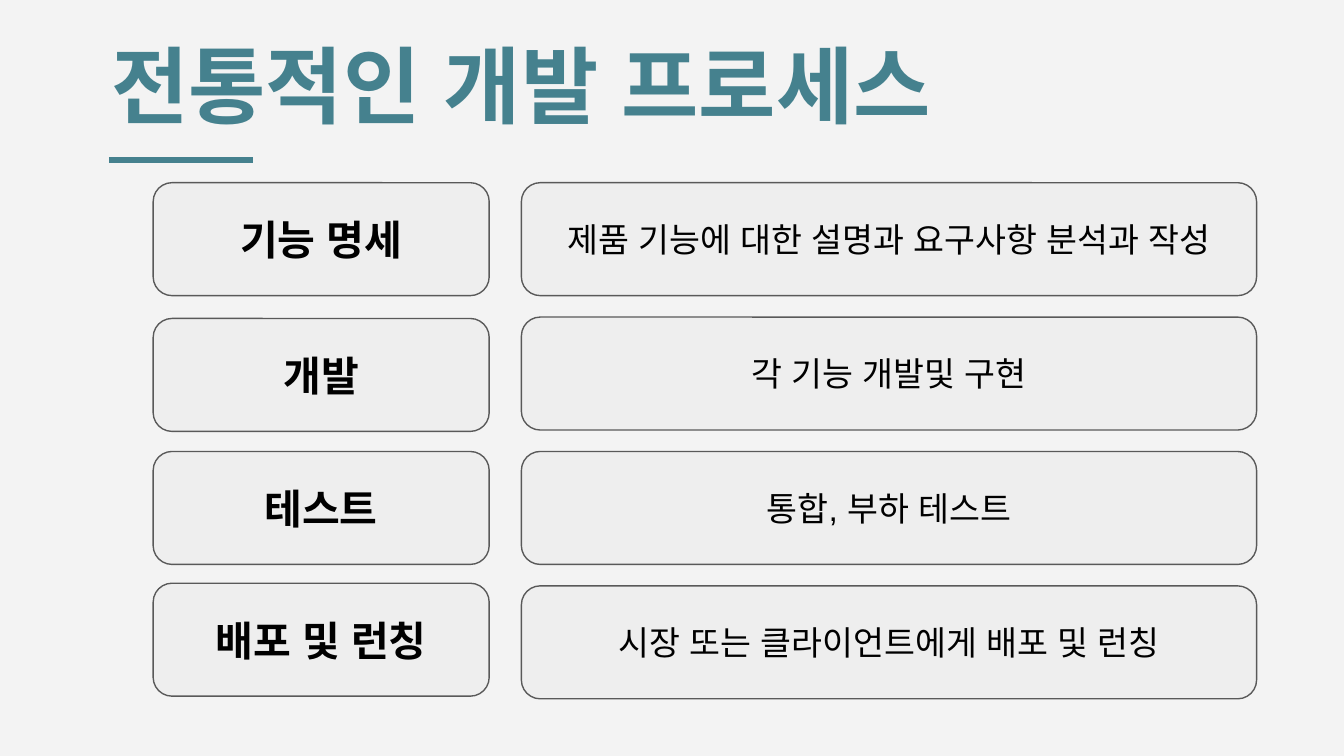
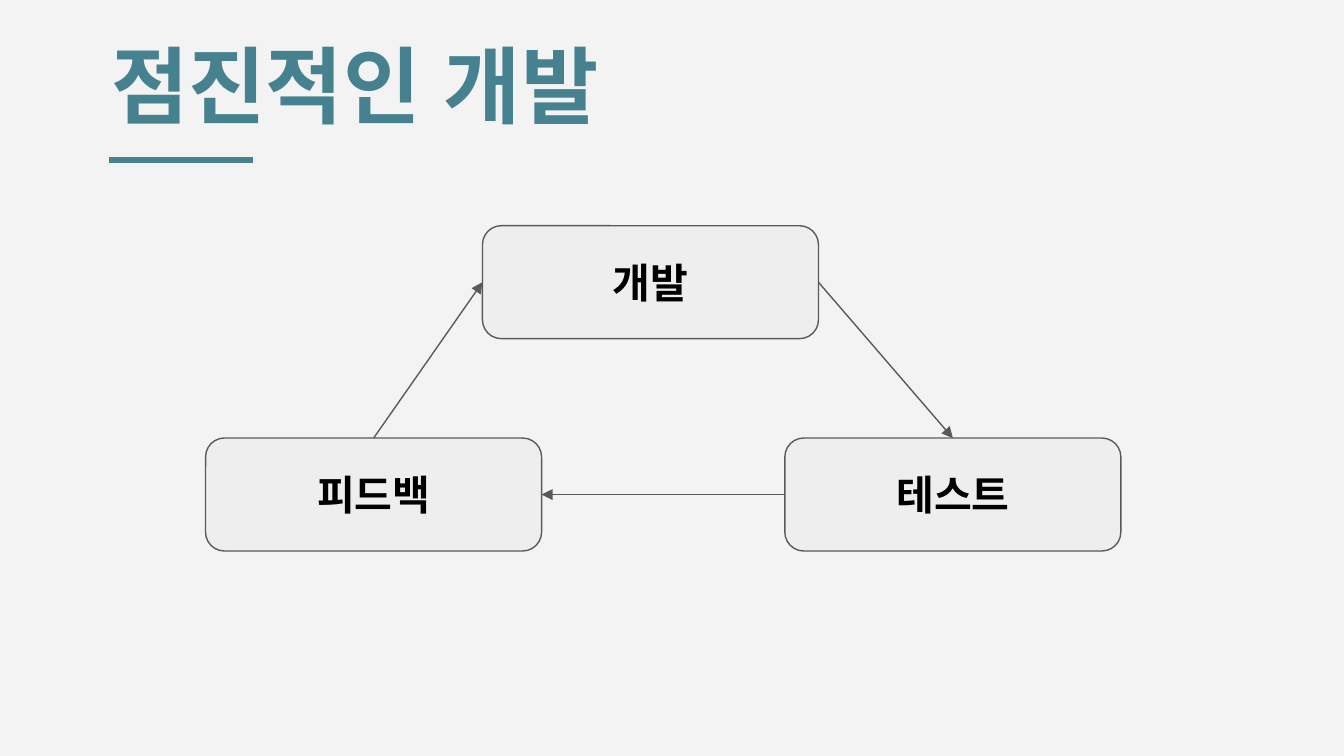
import pptx
import pptx.dml.color
import pptx.enum.shapes
import pptx.enum.text
import pptx.oxml.ns
import pptx.util
from lxml import etree

Inches = pptx.util.Inches
Pt = pptx.util.Pt
RGBColor = pptx.dml.color.RGBColor
Align = pptx.enum.text.PP_ALIGN
Anchor = pptx.enum.text.MSO_ANCHOR
qn = pptx.oxml.ns.qn

TEAL = RGBColor(0x45, 0x81, 0x8E)
PAPER = RGBColor(0xF3, 0xF3, 0xF3)
BOX_FILL = RGBColor(0xEE, 0xEE, 0xEE)
OUTLINE = RGBColor(0x59, 0x59, 0x59)
BLACK = RGBColor(0, 0, 0)

EAST_ASIAN_FONT = "Arial"
TITLE_FONT = {"name": "Noto Sans CJK KR", "size": Pt(45), "bold": True}
LABEL_FONT = {"name": "Arial", "size": Pt(22), "bold": True}
DETAIL_FONT = {"name": "Arial", "size": Pt(18), "bold": False}

PROCESS_TITLE = "전통적인 개발 프로세스"
# Label, top of the label box, detail
PROCESS_STEPS = [
    ("기능 명세", 1.36, "제품 기능에 대한 설명과 요구사항 분석과 작성"),
    ("개발", 2.37, "각 기능 개발및 구현"),
    ("테스트", 3.36, "통합, 부하 테스트"),
    ("배포 및 런칭", 4.34, "시장 또는 클라이언트에게 배포 및 런칭"),
]
CYCLE_TITLE = "점진적인 개발"
CYCLE_STAGES = {"개발": (3.59, 1.68), "테스트": (5.84, 3.26), "피드백": (1.53, 3.26)}
# Connection sites of a rounded rectangle
TOP, LEFT, RIGHT = 0, 1, 3
CYCLE_ARROWS = [
    ("개발", RIGHT, "테스트", TOP),
    ("테스트", LEFT, "피드백", RIGHT),
    ("피드백", TOP, "개발", LEFT),
]

BOX_HEIGHT = 0.84
LABEL_LEFT, LABEL_WIDTH = 1.14, 2.5
DETAIL_LEFT, DETAIL_WIDTH = 3.88, 5.47
FIRST_DETAIL, DETAIL_PITCH = 1.36, 1


def write(shape, text, font, color, align, anchor):
    frame = shape.text_frame
    frame.word_wrap = True
    frame.vertical_anchor = anchor
    for side in ("left", "top", "right", "bottom"):
        setattr(frame, f"margin_{side}", Inches(0.1))
    para = frame.paragraphs[0]
    para.alignment = align
    span = para.add_run()
    span.text = text
    for name, value in font.items():
        setattr(span.font, name, value)
    span.font.color.rgb = color
    east_asian = etree.SubElement(span.font._element, qn("a:ea"))
    east_asian.set("typeface", EAST_ASIAN_FONT)


def add_line(page, color, width, start=(0, 0), end=(0, 0)):
    line = page.shapes.add_connector(
        pptx.enum.shapes.MSO_CONNECTOR.STRAIGHT,
        *(Inches(value) for value in (*start, *end)))
    line.line.color.rgb = color
    line.line.width = Pt(width)
    etree.SubElement(line._element.spPr, qn("a:effectLst"))
    return line


def add_page(deck, title):
    page = deck.slides.add_slide(deck.slide_layouts[6])
    page.background.fill.solid()
    page.background.fill.fore_color.rgb = PAPER
    add_line(page, TEAL, 3, (0.81, 1.19), (1.88, 1.19))
    box = page.shapes.add_textbox(Inches(0.73), Inches(0.15), Inches(7.5), Inches(0.84))
    write(box, title, TITLE_FONT, TEAL, Align.LEFT, Anchor.TOP)
    return page


def add_box(page, text, left, top, width=LABEL_WIDTH, font=LABEL_FONT):
    box = page.shapes.add_shape(
        pptx.enum.shapes.MSO_SHAPE.ROUNDED_RECTANGLE,
        Inches(left), Inches(top), Inches(width), Inches(BOX_HEIGHT))
    box.shadow.inherit = False
    box.fill.solid()
    box.fill.fore_color.rgb = BOX_FILL
    box.line.color.rgb = OUTLINE
    box.line.width = Pt(0.75)
    write(box, text, font, BLACK, Align.CENTER, Anchor.MIDDLE)
    return box


def add_arrow(page, source, source_site, target, target_site):
    arrow = add_line(page, OUTLINE, 0.75)
    arrow.begin_connect(source, source_site)
    arrow.end_connect(target, target_site)
    tip = etree.SubElement(arrow.line._get_or_add_ln(), qn("a:tailEnd"))
    tip.set("type", "triangle")


def add_process_page(deck):
    page = add_page(deck, PROCESS_TITLE)
    for label, label_top, _ in PROCESS_STEPS:
        add_box(page, label, LABEL_LEFT, label_top)
    for row, (_, _, detail) in enumerate(PROCESS_STEPS):
        top = FIRST_DETAIL + row * DETAIL_PITCH
        add_box(page, detail, DETAIL_LEFT, top, DETAIL_WIDTH, DETAIL_FONT)


def add_cycle_page(deck):
    page = add_page(deck, CYCLE_TITLE)
    stages = {name: add_box(page, name, *spot) for name, spot in CYCLE_STAGES.items()}
    for source, source_site, target, target_site in CYCLE_ARROWS:
        add_arrow(page, stages[source], source_site, stages[target], target_site)


def main():
    deck = pptx.Presentation()
    deck.slide_width = Inches(10)
    deck.slide_height = Inches(10) * 9 // 16
    add_process_page(deck)
    add_cycle_page(deck)
    deck.save("out.pptx")


if __name__ == "__main__":
    main()
